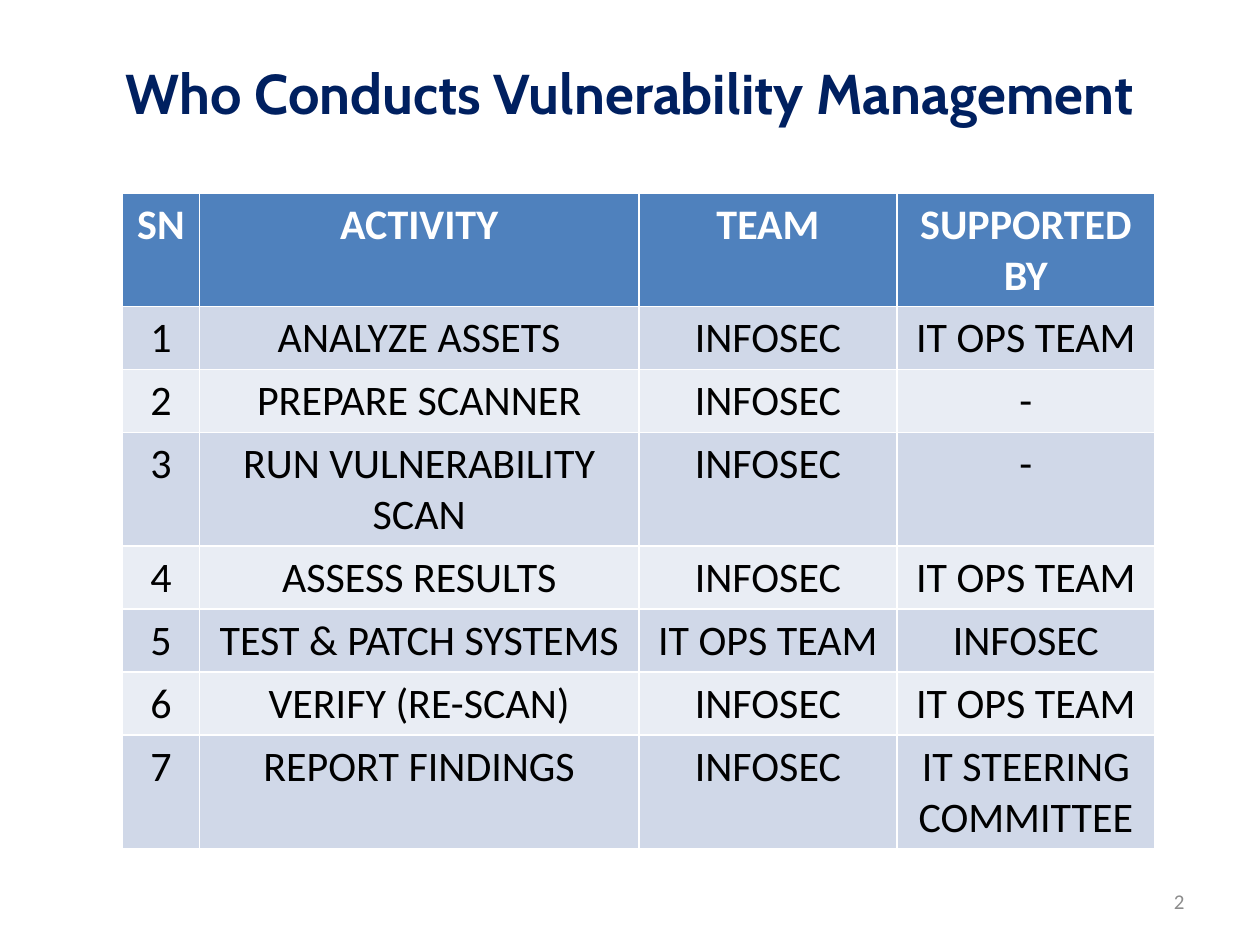
from dataclasses import dataclass

from pptx import Presentation
from pptx.dml.color import RGBColor as Color
from pptx.enum.text import MSO_ANCHOR as Anchor, PP_ALIGN as Align
from pptx.util import Cm, Pt


@dataclass(frozen=True)
class TextStyle:
    font: str
    size: int
    color: str
    bold: bool = False
    align: Align = Align.CENTER


@dataclass(frozen=True)
class Theme:
    title: TextStyle = TextStyle("Cabin", 32, "002060", bold=True)
    header: TextStyle = TextStyle("Calibri", 24, "FFFFFF", bold=True)
    body: TextStyle = TextStyle("Calibri", 24, "000000")
    number: TextStyle = TextStyle("Calibri", 12, "8C8C8C", align=Align.RIGHT)
    header_fill: str = "4F81BD"
    band_fills: tuple[str, str] = ("D0D8E8", "E9EDF4")


@dataclass(frozen=True)
class Frame:
    left: float
    top: float
    width: float
    height: float

    def lengths(self) -> tuple[Cm, Cm, Cm, Cm]:
        return Cm(self.left), Cm(self.top), Cm(self.width), Cm(self.height)


@dataclass(frozen=True)
class Task:
    activity: str
    team: str
    support: str


THEME = Theme()
HEADINGS = ("SN", "ACTIVITY", "TEAM", "SUPPORTED BY")
COLUMN_WIDTHS = (1.55, 8.86, 5.2, 5.2)
ROW_HEIGHT = 1.03
INFOSEC, IT_OPS = "INFOSEC", "IT OPS TEAM"
TASKS = (
    Task("ANALYZE ASSETS", INFOSEC, IT_OPS),
    Task("PREPARE SCANNER", INFOSEC, "-"),
    Task("RUN VULNERABILITY SCAN", INFOSEC, "-"),
    Task("ASSESS RESULTS", INFOSEC, IT_OPS),
    Task("TEST & PATCH SYSTEMS", IT_OPS, INFOSEC),
    Task("VERIFY (RE-SCAN)", INFOSEC, IT_OPS),
    Task("REPORT FINDINGS", INFOSEC, "IT STEERING COMMITTEE"),
)


def write(text_frame, text: str, style: TextStyle) -> None:
    para = text_frame.paragraphs[0]
    para.alignment = style.align
    span = para.add_run()
    span.text = text
    span.font.name = style.font
    span.font.size = Pt(style.size)
    span.font.bold = style.bold
    span.font.color.rgb = Color.from_string(style.color)


def add_text(page, frame: Frame, text: str, style: TextStyle) -> None:
    box = page.shapes.add_textbox(*frame.lengths())
    box.text_frame.word_wrap = True
    box.text_frame.vertical_anchor = Anchor.MIDDLE
    write(box.text_frame, text, style)


def fill_row(cells, texts: tuple[str, ...], fill: str, style: TextStyle) -> None:
    for cell, text in zip(cells, texts):
        cell.fill.solid()
        cell.fill.fore_color.rgb = Color.from_string(fill)
        write(cell.text_frame, text, style)


def add_task_table(page, frame: Frame) -> None:
    holder = page.shapes.add_table(len(TASKS) + 1, len(HEADINGS), *frame.lengths())
    table = holder.table
    for column, width in zip(table.columns, COLUMN_WIDTHS):
        column.width = Cm(width)
    for row in table.rows:
        row.height = Cm(ROW_HEIGHT)
    holder.height = Cm(frame.height)

    # Header row, then numbered rows in alternating bands
    header, *rows = table.rows
    fill_row(header.cells, HEADINGS, THEME.header_fill, THEME.header)
    for number, (row, task) in enumerate(zip(rows, TASKS), start=1):
        texts = (str(number), task.activity, task.team, task.support)
        fill_row(row.cells, texts, THEME.band_fills[(number - 1) % 2], THEME.body)


def main() -> None:
    deck = Presentation()
    deck.slide_width, deck.slide_height = Cm(25.4), Cm(19.05)
    page = deck.slides.add_slide(deck.slide_layouts[6])

    # Page number, title and table
    add_text(page, Frame(18.2, 17.66, 5.93, 1.01), "2", THEME.number)
    add_text(page, Frame(1.27, 0.6, 22.86, 2.5),
             "Who Conducts Vulnerability Management", THEME.title)
    add_task_table(page, Frame(2.47, 3.89, sum(COLUMN_WIDTHS), 13.21))

    deck.save("out.pptx")


if __name__ == "__main__":
    main()
